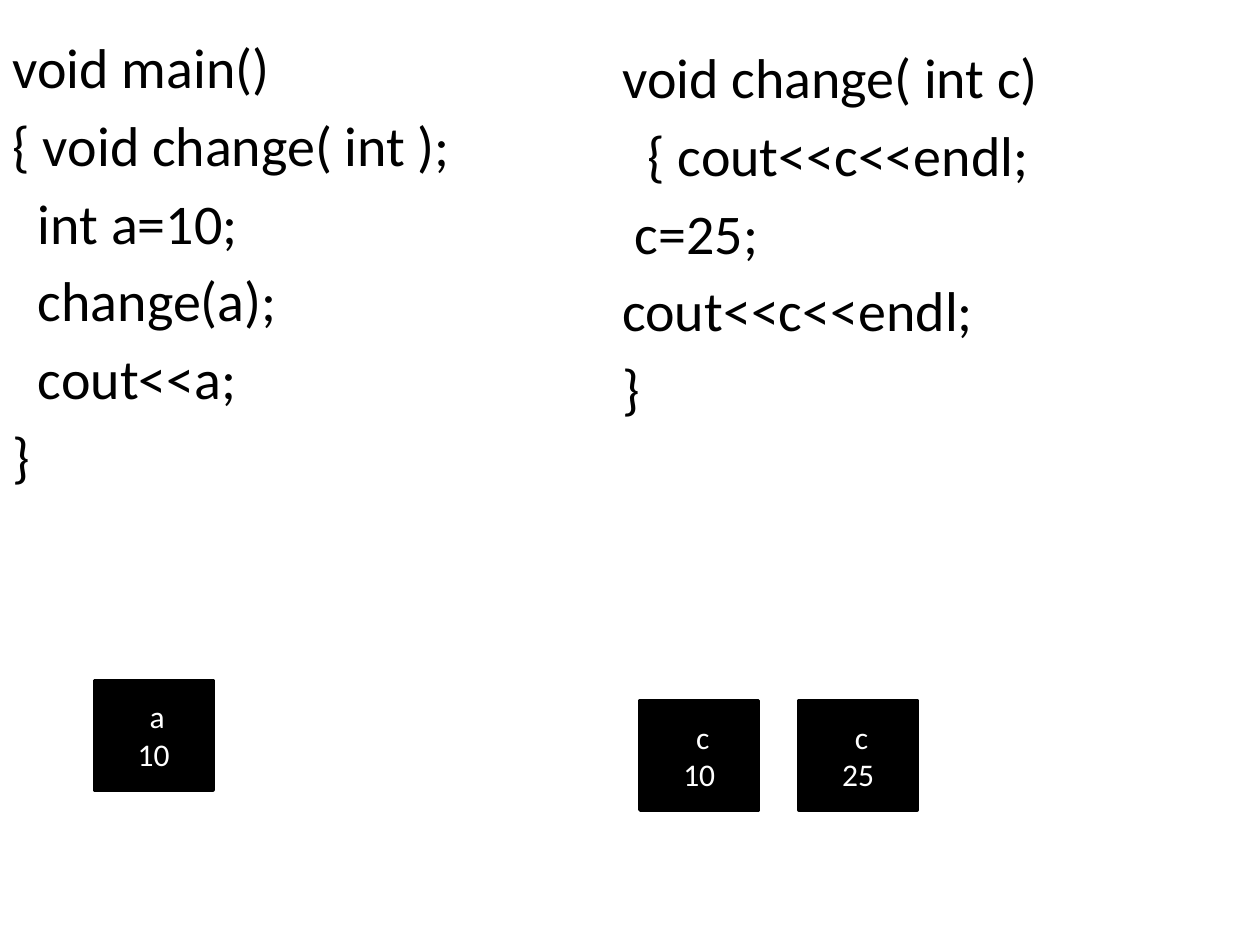
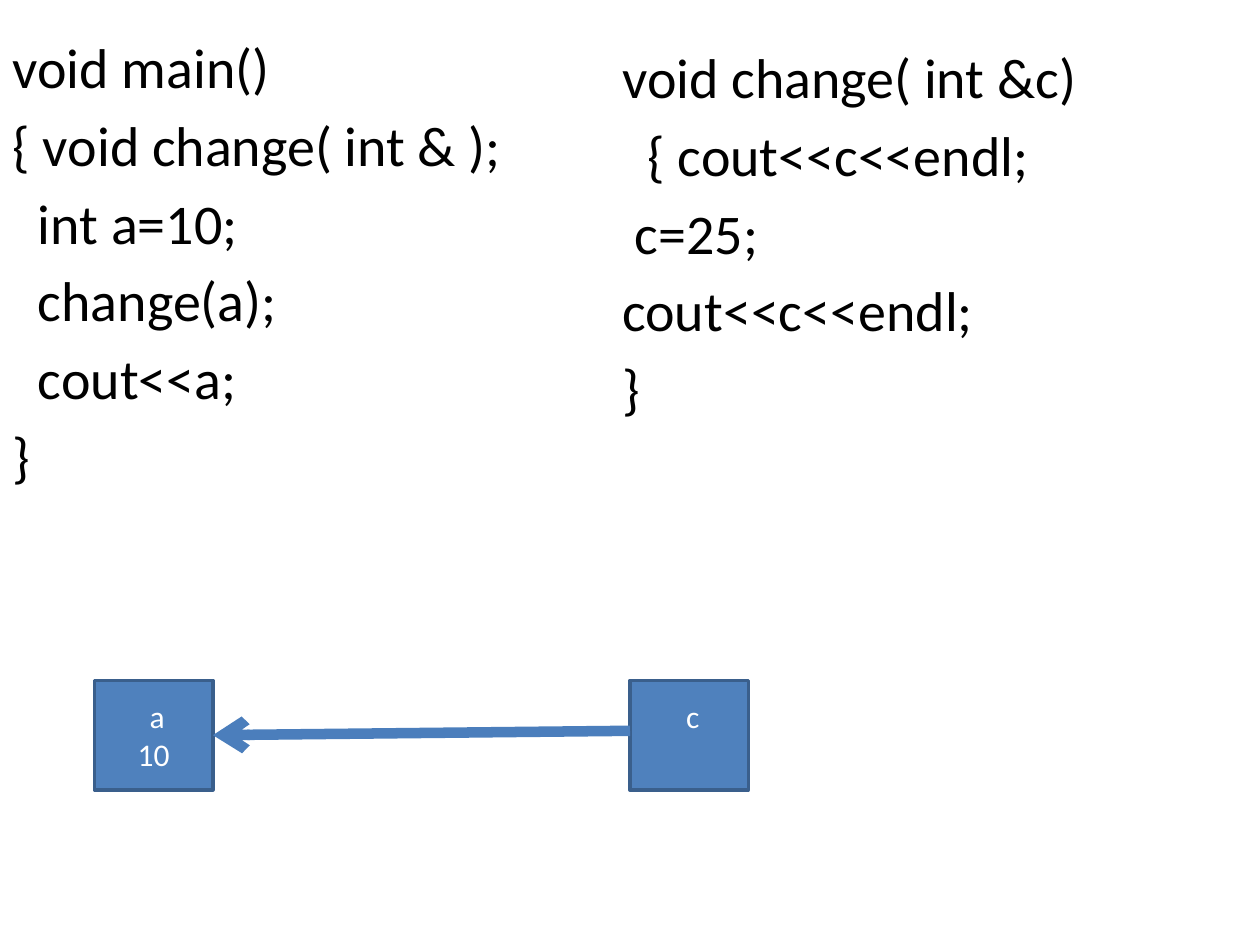
from pptx import Presentation
from pptx.dml.color import RGBColor
from pptx.enum.shapes import MSO_CONNECTOR, MSO_SHAPE
from pptx.enum.text import MSO_ANCHOR, MSO_AUTO_SIZE, PP_ALIGN
from pptx.oxml.ns import qn
from pptx.util import Inches, Pt
from lxml.etree import SubElement

MAIN_AREA = (0, 0.21, 4.72, 3.94)
CHANGE_AREA = (4.84, 0.29, 4.96, 4.95)
BOX_WIDTH, BOX_HEIGHT = 0.94, 0.87
BOX_TOP = 5.4
COPY_TOP = 5.56
A_LEFT = 0.75
LINE_HEIGHT = 0.3


def color(hex_code):
    return RGBColor.from_string(hex_code)


class CodeDeck:
    font = "Calibri"
    ink = "000000"
    paper = "FFFFFF"

    def __init__(self):
        self.presentation = Presentation()
        self.presentation.slide_width = Inches(10)
        self.presentation.slide_height = Inches(7.5)
        self.slide = None

    def new_slide(self, fill, outline):
        self.slide = self.presentation.slides.add_slide(
            self.presentation.slide_layouts[1])
        title = self.slide.shapes.title._element
        title.getparent().remove(title)
        self.fill, self.outline = fill, outline

    def format_runs(self, paragraph, size, hex_code):
        for run in paragraph.runs:
            run.font.name = self.font
            run.font.size = Pt(size)
            run.font.color.rgb = color(hex_code)

    def write_code(self, frame, lines):
        frame.text = "\n".join(lines)
        frame.word_wrap = True
        frame.auto_size = MSO_AUTO_SIZE.NONE
        for paragraph in frame.paragraphs:
            paragraph.space_before = Pt(6)
            properties = paragraph._p.get_or_add_pPr()
            properties.set("marL", "0")
            properties.set("indent", "0")
            SubElement(properties, qn("a:buNone"))
            self.format_runs(paragraph, 32, self.ink)

    def main_code(self, lines):
        body = self.slide.placeholders[1]
        body.left, body.top, body.width, body.height = map(Inches, MAIN_AREA)
        self.write_code(body.text_frame, lines)

    def change_code(self, lines):
        code = self.slide.shapes.add_textbox(*map(Inches, CHANGE_AREA))
        self.write_code(code.text_frame, lines)

    def variable(self, left, top, name, value=None):
        box = self.slide.shapes.add_shape(
            MSO_SHAPE.RECTANGLE, Inches(left), Inches(top),
            Inches(BOX_WIDTH), Inches(BOX_HEIGHT))
        box.shadow.inherit = False
        box.fill.solid()
        box.fill.fore_color.rgb = color(self.fill)
        box.line.color.rgb = color(self.outline)
        box.line.width = Pt(2)
        frame = box.text_frame
        frame.vertical_anchor = MSO_ANCHOR.MIDDLE
        if value is None:
            frame.text = f" {name}"
            frame.margin_bottom = Inches(0.05 + LINE_HEIGHT)
        else:
            frame.text = f" {name}\n{value}"
        for paragraph in frame.paragraphs:
            paragraph.alignment = PP_ALIGN.CENTER
            self.format_runs(paragraph, 18, self.paper)
        return box

    def reference_arrow(self, start_x, start_y, target):
        arrow = self.slide.shapes.add_connector(
            MSO_CONNECTOR.STRAIGHT, Inches(start_x), Inches(start_y),
            target.left + target.width, target.top + target.height // 2)
        arrow.end_connect(target, 3)
        arrow.line.color.rgb = color("4B7EBC")
        arrow.line.width = Pt(6)
        SubElement(arrow.line._get_or_add_ln(), qn("a:tailEnd"), type="arrow")
        SubElement(arrow._element.spPr, qn("a:effectLst"))

    def call_example(self, declared, parameter, fill, outline):
        self.new_slide(fill, outline)
        self.main_code(["void main()", f"{{ void change( {declared} );",
                        "  int a=10;", "  change(a);", "  cout<<a;", "}"])
        self.change_code([f"void change( {parameter})", "  { cout<<c<<endl;",
                          " c=25;", "cout<<c<<endl;", "}"])
        return self.variable(A_LEFT, BOX_TOP, "a", 10)


def main():
    deck = CodeDeck()

    deck.call_example("int", "int c", "000000", "000000")
    for left, value in ((5.08, 10), (6.34, 25)):
        deck.variable(left, COPY_TOP, "c", value)

    a_box = deck.call_example("int &", "int &c", "4F81BD", "3A5F8C")
    deck.variable(5, BOX_TOP, "c")
    deck.reference_arrow(5, 5.8, a_box)

    deck.presentation.save("out.pptx")


if __name__ == "__main__":
    main()
